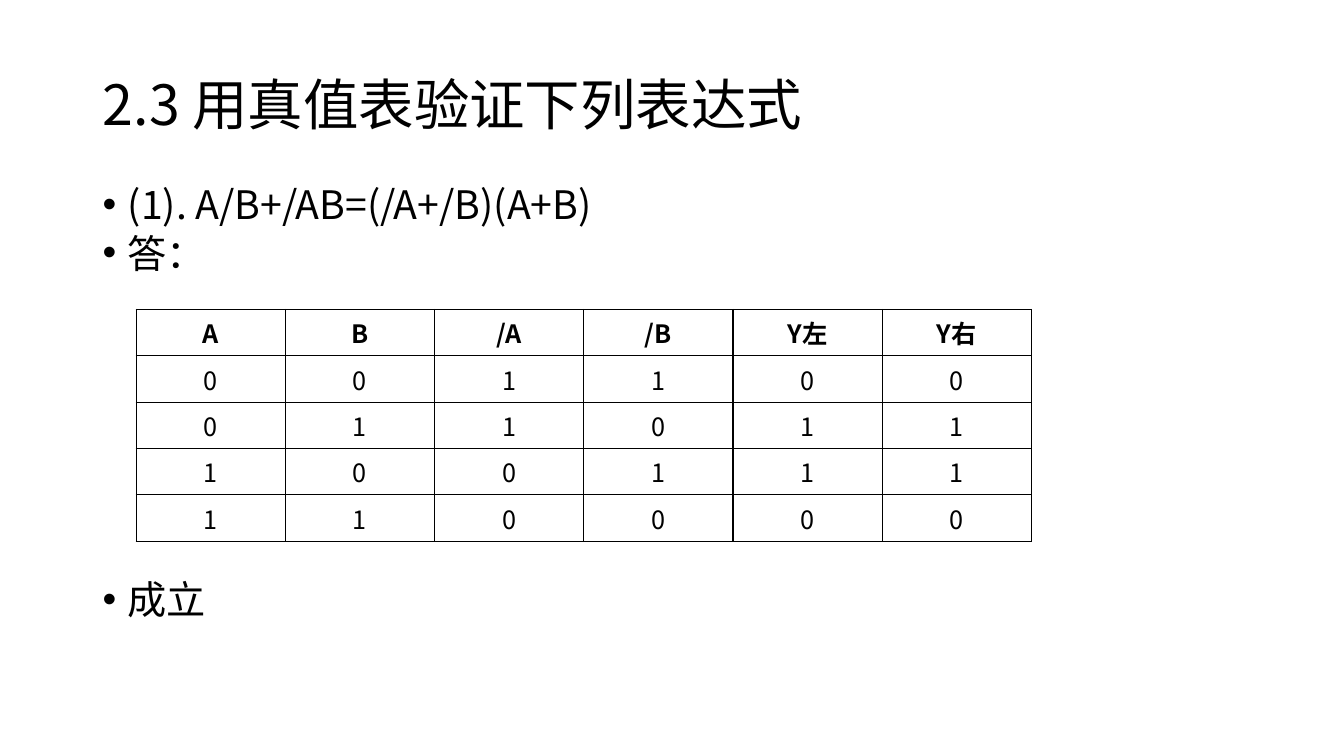
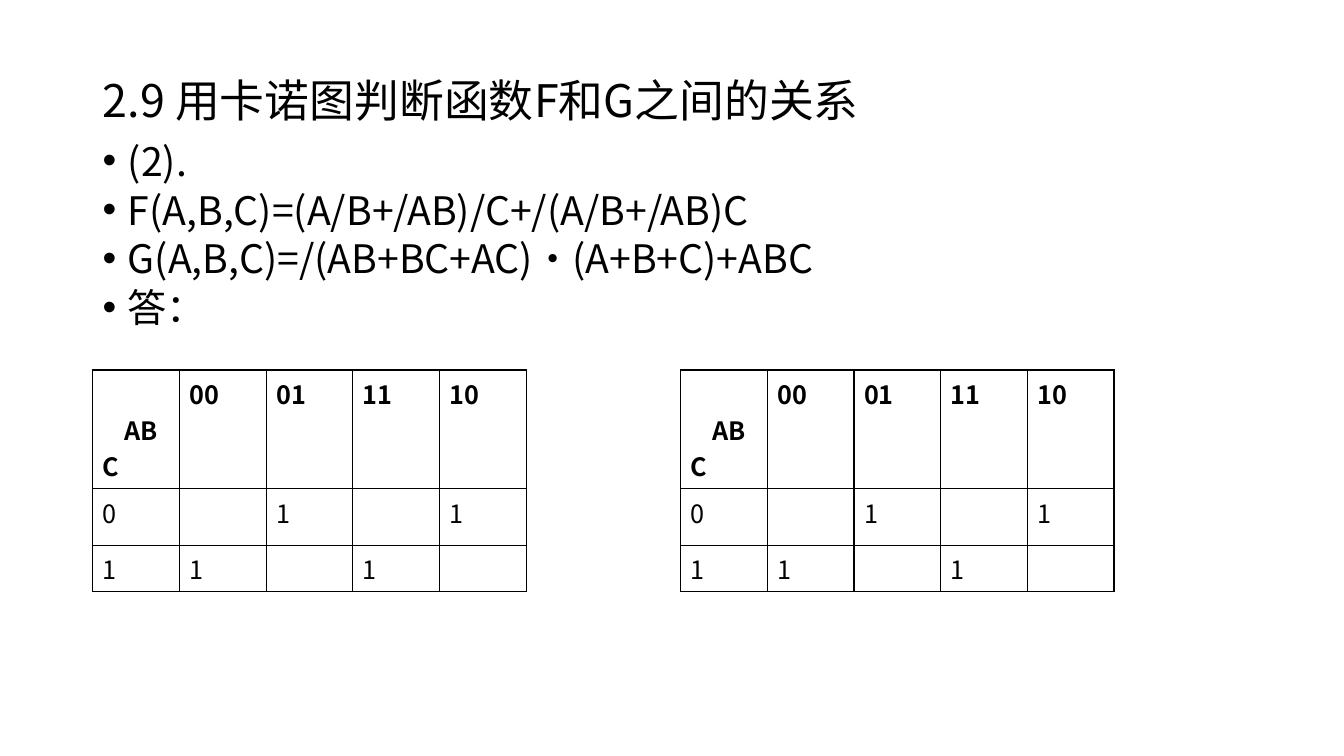
import pptx
import pptx.dml.color
import pptx.enum.text
import pptx.oxml
import pptx.oxml.ns
import pptx.util
from pptx.util import Inches

BLACK = pptx.dml.color.RGBColor(0x00, 0x00, 0x00)
WHITE = pptx.dml.color.RGBColor(0xFF, 0xFF, 0xFF)
FONT = "Noto Sans CJK SC"
ALIGN = pptx.enum.text.PP_ALIGN
ANCHOR = pptx.enum.text.MSO_ANCHOR
NS = pptx.oxml.ns.nsdecls("a")


class Deck:
    """Shared style and the slide being filled."""

    left, width = Inches(0.92), Inches(11.5)
    title_size, body_size, table_size = 39.6, 28, 18

    def __init__(self):
        self.file = pptx.Presentation()
        self.file.slide_width = Inches(13.33)
        self.file.slide_height = Inches(7.5)
        self.slide = None

    def add_text(self, paragraph, text, size, bold=False):
        run = paragraph.add_run()
        run.text = text
        run.font.size = pptx.util.Pt(size)
        run.font.bold = bold
        run.font.name = FONT
        run.font.color.rgb = BLACK
        latin = run.font._element.find(pptx.oxml.ns.qn("a:latin"))
        latin.addnext(pptx.oxml.parse_xml(f'<a:ea {NS} typeface="{FONT}"/>'))

    def add_slide(self, heading, top, height, size=title_size):
        self.slide = self.file.slides.add_slide(self.file.slide_layouts[5])
        self.slide.background.fill.solid()
        self.slide.background.fill.fore_color.rgb = WHITE
        title = self.slide.shapes.title
        title.left, title.top = self.left, top
        title.width, title.height = self.width, height
        frame = title.text_frame
        frame.auto_size = pptx.enum.text.MSO_AUTO_SIZE.NONE
        frame.vertical_anchor = ANCHOR.MIDDLE
        paragraph = frame.paragraphs[0]
        paragraph.alignment = ALIGN.LEFT
        paragraph.line_spacing = 0.9
        self.add_text(paragraph, heading, size)

    def bullets(self, top, height, lines):
        box = self.slide.shapes.add_textbox(self.left, top, self.width, height)
        frame = box.text_frame
        frame.word_wrap = True
        for index, line in enumerate(lines):
            paragraph = frame.add_paragraph() if index else frame.paragraphs[0]
            properties = paragraph._p.get_or_add_pPr()
            properties.set("marL", str(Inches(0.25)))
            properties.set("indent", str(-Inches(0.25)))
            properties.append(pptx.oxml.parse_xml(f'<a:buFont {NS} typeface="Arial"/>'))
            properties.append(pptx.oxml.parse_xml(f'<a:buChar {NS} char="•"/>'))
            paragraph.line_spacing = 0.8
            paragraph.space_before = pptx.util.Pt(8 if index else 0)
            self.add_text(paragraph, line, self.body_size)

    def border(self, cell):
        properties = cell._tc.get_or_add_tcPr()
        for place, side in enumerate(("lnL", "lnR", "lnT", "lnB")):
            properties.insert(place, pptx.oxml.parse_xml(
                f'<a:{side} {NS} w="{pptx.util.Pt(1)}"><a:solidFill>'
                f'<a:srgbClr val="{BLACK}"/></a:solidFill></a:{side}>'))

    def table(self, left, top, column_width, row_heights, rows, alignment):
        grid = self.slide.shapes.add_table(
            len(rows), len(rows[0]), left, top,
            column_width * len(rows[0]), sum(row_heights)).table
        grid.horz_banding = False
        for column in grid.columns:
            column.width = column_width
        for r, (values, height) in enumerate(zip(rows, row_heights)):
            grid.rows[r].height = height
            for c, value in enumerate(values):
                cell = grid.cell(r, c)
                cell.fill.background()
                self.border(cell)
                paragraph = cell.text_frame.paragraphs[0]
                paragraph.alignment = alignment
                if value:
                    self.add_text(paragraph, value, self.table_size, bold=r == 0)
        return grid

    def karnaugh_map(self, left, rows):
        heights = [Inches(1.18), Inches(0.56), Inches(0.46)]
        grid = self.table(left, Inches(3.67), Inches(0.86), heights, rows, ALIGN.LEFT)
        # Corner cell names the column and row variables
        corner = grid.cell(0, 0)
        corner.vertical_anchor = ANCHOR.BOTTOM
        columns_name = corner.text_frame.paragraphs[0]
        columns_name.alignment = ALIGN.CENTER
        columns_name._p.get_or_add_pPr().set("marL", str(Inches(0.1)))
        self.add_text(columns_name, "AB", self.table_size, bold=True)
        rows_name = corner.text_frame.add_paragraph()
        rows_name.alignment = ALIGN.LEFT
        self.add_text(rows_name, "C", self.table_size, bold=True)


def main():
    deck = Deck()

    # Truth table
    deck.add_slide("2.3 用真值表验证下列表达式", Inches(0.74), Inches(0.66))
    deck.bullets(Inches(1.83), Inches(1.2), ["(1). A/B+/AB=(/A+/B)(A+B)", "答："])
    truth_rows = [["A", "B", "/A", "/B", "Y左", "Y右"]]
    for a in (0, 1):
        for b in (0, 1):
            truth_rows.append([str(v) for v in (a, b, 1 - a, 1 - b, a ^ b, a ^ b)])
    deck.table(Inches(1.35), Inches(3.07), Inches(1.48),
               [Inches(0.46)] * len(truth_rows), truth_rows, ALIGN.CENTER)
    deck.bullets(Inches(5.75), Inches(0.6), ["成立"])

    # Karnaugh maps of F and G
    deck.add_slide("2.9 用卡诺图判断函数F和G之间的关系", Inches(0.64), Inches(0.76), 32)
    deck.bullets(Inches(1.4), Inches(2.25), [
        "(2).",
        "F(A,B,C)=(A/B+/AB)/C+/(A/B+/AB)C",
        "G(A,B,C)=/(AB+BC+AC)·(A+B+C)+ABC",
        "答：",
    ])
    map_rows = [
        ["", "00", "01", "11", "10"],
        ["0", "", "1", "", "1"],
        ["1", "1", "", "1", ""],
    ]
    for left in (Inches(0.92), Inches(6.75)):
        deck.karnaugh_map(left, map_rows)

    deck.file.save("out.pptx")


if __name__ == "__main__":
    main()
